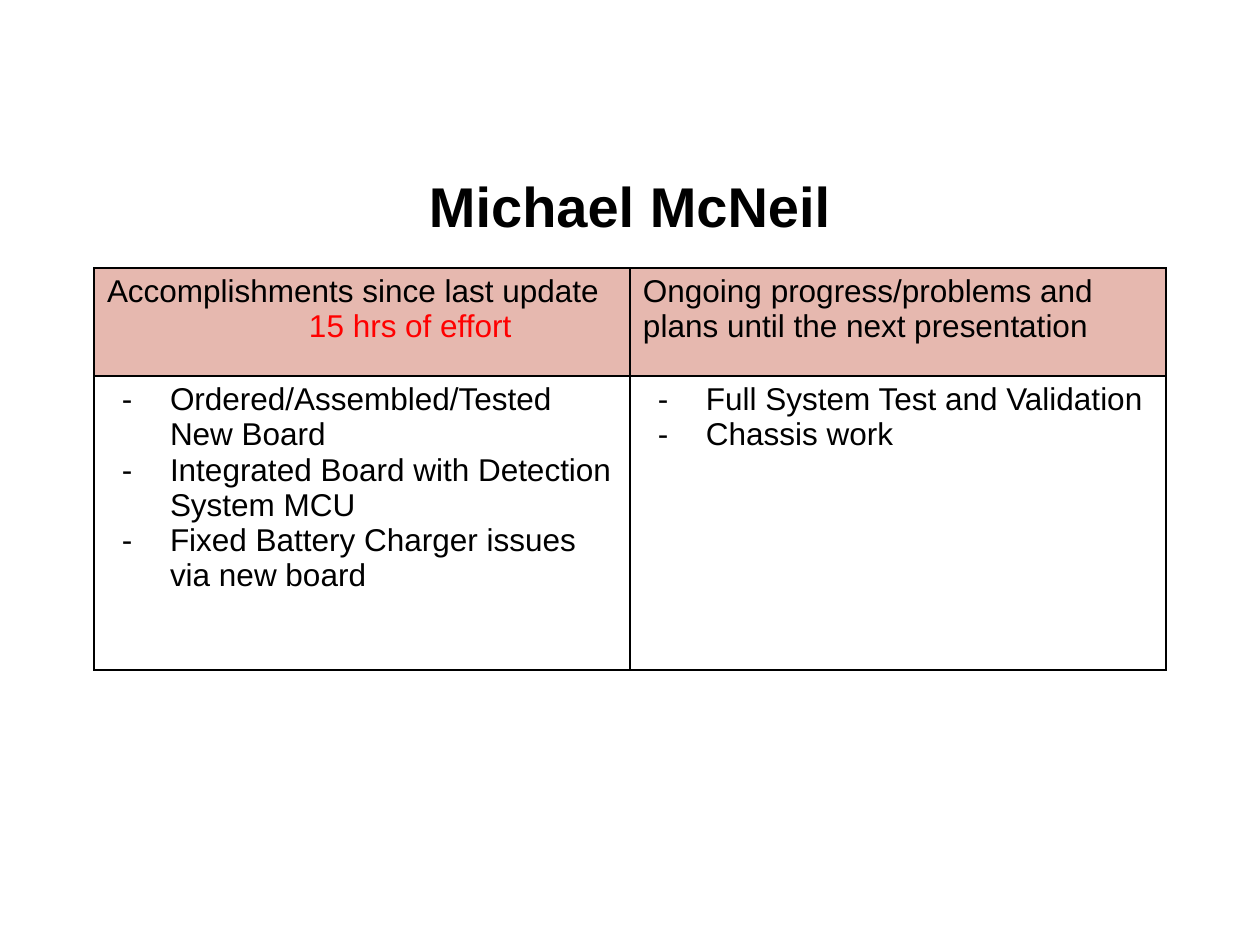
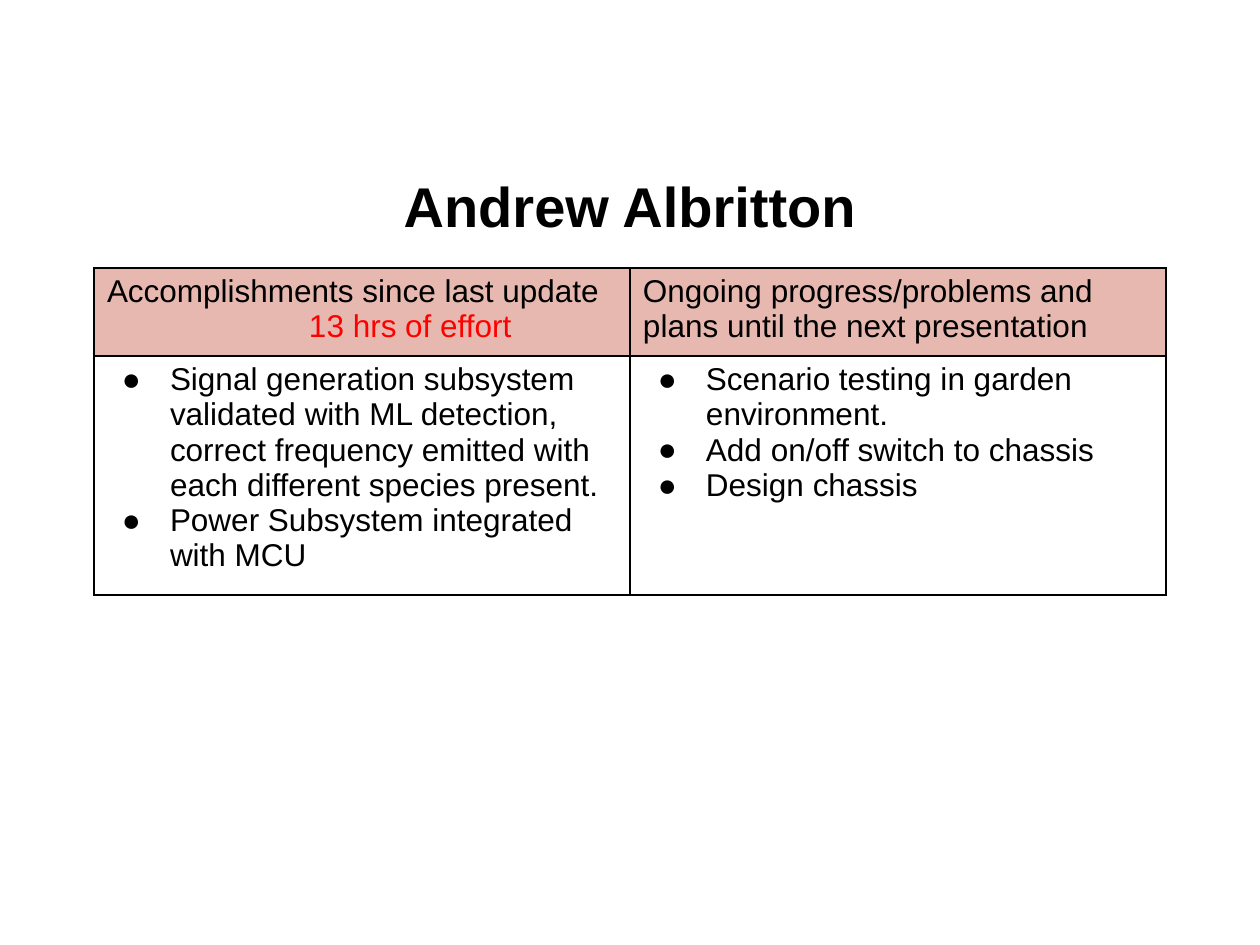
from dataclasses import dataclass

import pptx
import pptx.dml.color
import pptx.enum.text
import pptx.oxml
import pptx.oxml.ns
import pptx.util

HEADINGS = ("Accomplishments since last update",
            "Ongoing progress/problems and plans until the next presentation")

# row_heights: heading row and body row, in px
UPDATES = [
    {
        "name": "Michael McNeil",
        "effort": "15 hrs of effort",
        "bullet": "-",
        "row_heights": (108, 294),
        "done": ["Ordered/Assembled/Tested New Board",
                 "Integrated Board with Detection System MCU",
                 "Fixed Battery Charger issues via new board"],
        "next": ["Full System Test and Validation",
                 "Chassis work"],
    },
    {
        "name": "Andrew Albritton",
        "effort": "13 hrs of effort",
        "bullet": "●",
        "row_heights": (88, 239),
        "done": ["Signal generation subsystem validated with ML detection, "
                 "correct frequency emitted with each different species present.",
                 "Power Subsystem integrated with MCU"],
        "next": ["Scenario testing in garden environment.",
                 "Add on/off switch to chassis",
                 "Design chassis"],
    },
]


@dataclass(frozen=True)
class Theme:
    font: str = "Arial"
    title_size: int = 32
    body_size: int = 18
    text: str = "000000"
    effort: str = "FF0000"
    heading_fill: str = "E6B8AF"
    border: str = "000000"
    border_width: int = 1


THEME = Theme()
PX_PER_INCH = 126
SLIDE_SIZE = (1260, 945)
TITLE_BOX = (63, 145, 1134, 111)
TABLE_LEFT, TABLE_TOP, TABLE_WIDTH = 94, 268, 1072
INSET_X, INSET_Y = 13, 6
BULLET_INDENT, BULLET_HANG = 63, 48
EFFORT_INDENT = 202


def px(length):
    return pptx.util.Emu(round(length * pptx.util.Inches(1) / PX_PER_INCH))


def rgb(value):
    return pptx.dml.color.RGBColor.from_string(value)


def xml(text):
    """Parse a DrawingML element whose tag has the prefix a."""
    head, mark, tail = text.partition(">")
    slash = "/" if head.endswith("/") else ""
    head = head.removesuffix("/")
    return pptx.oxml.parse_xml(f"{head} {pptx.oxml.ns.nsdecls('a')}{slash}{mark}{tail}")


def style(para, size, color=THEME.text, bold=False):
    para.font.name = THEME.font
    para.font.size = pptx.util.Pt(size)
    para.font.bold = bold
    para.font.color.rgb = rgb(color)


def set_insets(holder):
    holder.margin_left = holder.margin_right = px(INSET_X)
    holder.margin_top = holder.margin_bottom = px(INSET_Y)


def indent(para, left, first=0):
    properties = para._p.get_or_add_pPr()
    properties.set("marL", str(px(left)))
    properties.set("indent", str(px(first)))
    return properties


def add_title(page, name):
    box = page.shapes.add_textbox(*map(px, TITLE_BOX))
    frame = box.text_frame
    frame.word_wrap = True
    frame.vertical_anchor = pptx.enum.text.MSO_ANCHOR.MIDDLE
    set_insets(frame)
    para = frame.paragraphs[0]
    para.text = name
    para.alignment = pptx.enum.text.PP_ALIGN.CENTER
    para.line_spacing = 1.15
    style(para, THEME.title_size, bold=True)


def write_lines(cell, lines):
    """Put each line in its own paragraph and return the paragraphs."""
    cell.text = "\n".join(lines)
    paras = cell.text_frame.paragraphs
    return paras


def write_heading(cell, heading, effort=None):
    paras = write_lines(cell, [heading, effort] if effort else [heading])
    style(paras[0], THEME.body_size)
    for para in paras[1:]:
        indent(para, EFFORT_INDENT)
        style(para, THEME.body_size, THEME.effort)


def write_bullets(cell, items, bullet):
    for para in write_lines(cell, items):
        properties = indent(para, BULLET_INDENT, -BULLET_HANG)
        properties.append(xml(f'<a:buClr><a:srgbClr val="{THEME.text}"/></a:buClr>'))
        properties.append(xml(f'<a:buFont typeface="{THEME.font}"/>'))
        properties.append(xml(f'<a:buChar char="{bullet}"/>'))
        style(para, THEME.body_size)


def format_cell(cell, fill=None):
    set_insets(cell)
    properties = cell._tc.get_or_add_tcPr()
    width = pptx.util.Pt(THEME.border_width)
    for side in ("lnL", "lnR", "lnT", "lnB"):
        properties.append(xml(
            f'<a:{side} w="{width}"><a:solidFill><a:srgbClr val="{THEME.border}"/>'
            f'</a:solidFill></a:{side}>'))
    if fill:
        cell.fill.solid()
        cell.fill.fore_color.rgb = rgb(fill)
    else:
        cell.fill.background()


def add_update_table(page, update):
    heights = update["row_heights"]
    frame = page.shapes.add_table(2, 2, px(TABLE_LEFT), px(TABLE_TOP),
                                  px(TABLE_WIDTH), px(sum(heights)))
    table = frame.table
    table.first_row = table.horz_banding = False
    for row, height in zip(table.rows, heights):
        row.height = px(height)

    columns = zip(HEADINGS, (update["effort"], None), (update["done"], update["next"]))
    for index, (heading, effort, items) in enumerate(columns):
        table.columns[index].width = px(TABLE_WIDTH / 2)
        heading_cell, body_cell = table.cell(0, index), table.cell(1, index)
        format_cell(heading_cell, THEME.heading_fill)
        format_cell(body_cell)
        write_heading(heading_cell, heading, effort)
        write_bullets(body_cell, items, update["bullet"])


def main():
    deck = pptx.Presentation()
    deck.slide_width, deck.slide_height = map(px, SLIDE_SIZE)
    blank = deck.slide_layouts[6]
    for update in UPDATES:
        page = deck.slides.add_slide(blank)
        add_title(page, update["name"])
        add_update_table(page, update)
    deck.save("out.pptx")


if __name__ == "__main__":
    main()
